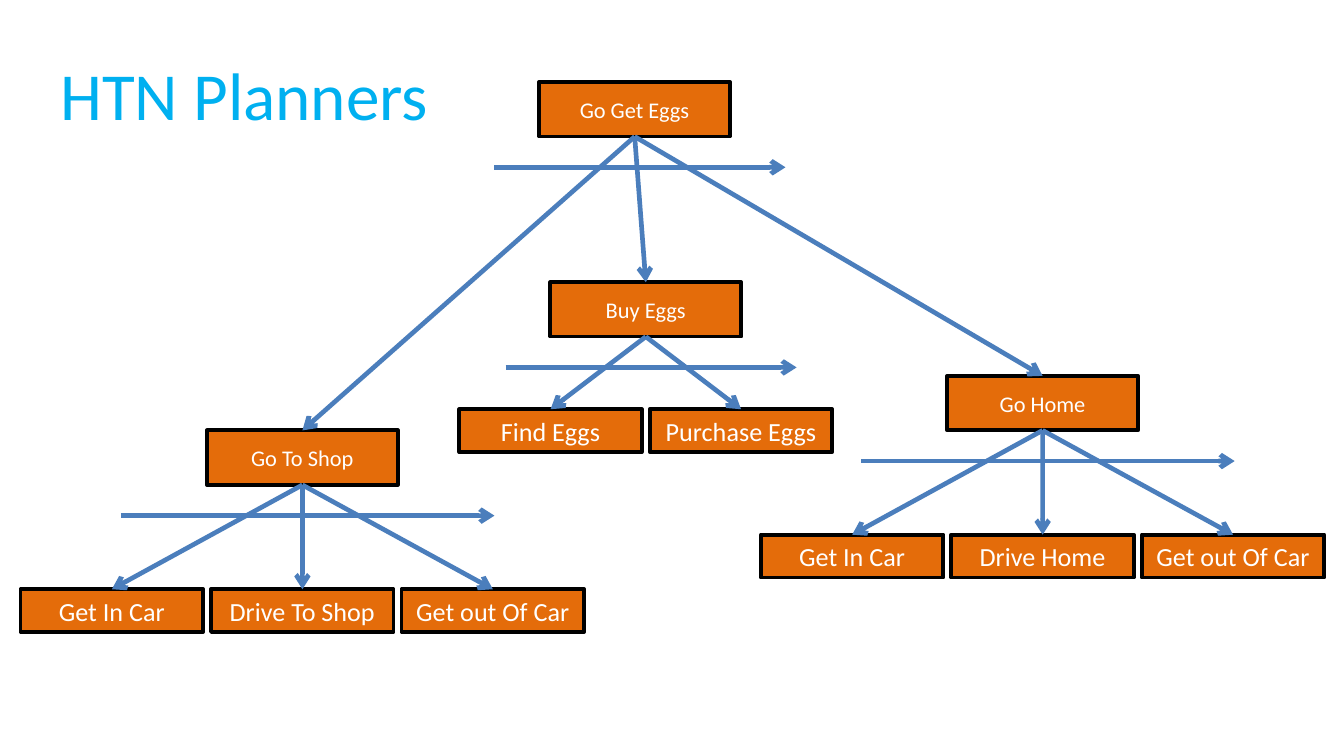
from pptx import Presentation
from pptx.dml.color import RGBColor
from pptx.enum.shapes import MSO_CONNECTOR, MSO_SHAPE
from pptx.enum.text import MSO_ANCHOR, PP_ALIGN
from pptx.oxml.ns import qn
from pptx.util import Cm, Pt
from lxml import etree

CYAN = RGBColor(0x00, 0xB0, 0xF0)
ORANGE = RGBColor(0xE4, 0x6C, 0x0A)
BLUE = RGBColor(0x4B, 0x7E, 0xBC)
BLACK = RGBColor(0x00, 0x00, 0x00)
WHITE = RGBColor(0xFF, 0xFF, 0xFF)
FONT = "Calibri"

# All lengths below are in centimetres
TASK_W, TASK_H = 3.61, 1.03
STEP_W, STEP_H = 3.45, 0.81
STEP_PITCH = 3.6
ORDER_GAP = 0.58  # from the bottom of a task to its ordering arrow
BOTTOM, TOP = 2, 0  # connection sites of a rectangle


def style_text(frame, text, size, color, align):
    frame.text = text
    frame.vertical_anchor = MSO_ANCHOR.MIDDLE
    paragraph = frame.paragraphs[0]
    paragraph.alignment = align
    font = paragraph.runs[0].font
    font.name, font.size = FONT, Pt(size)
    font.color.rgb = color


def add_title(slide, text, left, top, width, height):
    title = slide.shapes.add_textbox(Cm(left), Cm(top), Cm(width), Cm(height))
    title.text_frame.word_wrap = True
    style_text(title.text_frame, text, 36, CYAN, PP_ALIGN.LEFT)


def add_node(slide, text, left, top, width, height, size):
    node = slide.shapes.add_shape(
        MSO_SHAPE.RECTANGLE, Cm(left), Cm(top), Cm(width), Cm(height))
    node.shadow.inherit = False
    node.fill.solid()
    node.fill.fore_color.rgb = ORANGE
    node.line.color.rgb = BLACK
    node.line.width = Pt(2)
    node.text_frame.word_wrap = False
    style_text(node.text_frame, text, size, WHITE, PP_ALIGN.CENTER)
    return node


def add_arrow(slide, x1=0, y1=0, x2=0, y2=0):
    arrow = slide.shapes.add_connector(
        MSO_CONNECTOR.STRAIGHT, Cm(x1), Cm(y1), Cm(x2), Cm(y2))
    arrow.line.color.rgb = BLUE
    arrow.line.width = Pt(2.5)
    etree.SubElement(arrow.line._get_or_add_ln(), qn("a:tailEnd"), type="arrow")
    etree.SubElement(arrow._element.spPr, qn("a:effectLst"))
    return arrow


def link(slide, parent, child):
    arrow = add_arrow(slide)
    arrow.begin_connect(parent, BOTTOM)
    arrow.end_connect(child, TOP)


def add_task(slide, text, left, top, order_width):
    """A compound task with the arrow that orders its subtasks."""
    task = add_node(slide, text, left, top, TASK_W, TASK_H, 12)
    order_x = left + (TASK_W - order_width) / 2
    order_y = top + TASK_H + ORDER_GAP
    # The ordering arrow reaches slightly further right than left
    add_arrow(slide, order_x + 0.1, order_y, order_x + order_width + 0.1, order_y)
    return task


def add_branch(slide, text, left, top, steps, drop, order_width):
    """A compound task above a centred row of primitive steps."""
    task = add_task(slide, text, left, top, order_width)
    row_width = STEP_PITCH * (len(steps) - 1) + STEP_W
    row_left = left + (TASK_W - row_width) / 2
    for i, step_text in enumerate(steps):
        step = add_node(slide, step_text, row_left + i * STEP_PITCH, top + drop,
                        STEP_W, STEP_H, 14)
        link(slide, task, step)
    return task


def main():
    prs = Presentation()
    prs.slide_width, prs.slide_height = Cm(25.4), Cm(14.28)
    slide = prs.slides.add_slide(prs.slide_layouts[6])

    add_title(slide, "HTN Planners", 0.89, 0.58, 23.24, 2.39)

    # Second-level tasks with their steps
    branches = [
        add_branch(slide, "Go To Shop", 3.91, 8.13,
                   ["Get In Car", "Drive To Shop", "Get out Of Car"], 3, 7.06),
        add_branch(slide, "Go Home", 17.9, 7.1,
                   ["Get In Car", "Drive Home", "Get out Of Car"], 3, 7.06),
        add_branch(slide, "Buy Eggs", 10.4, 5.33,
                   ["Find Eggs", "Purchase Eggs"], 2.4, 5.5),
    ]

    # Root task
    goal = add_task(slide, "Go Get Eggs", 10.19, 1.55, 5.5)
    for branch in branches:
        link(slide, goal, branch)

    prs.save("out.pptx")


if __name__ == "__main__":
    main()
